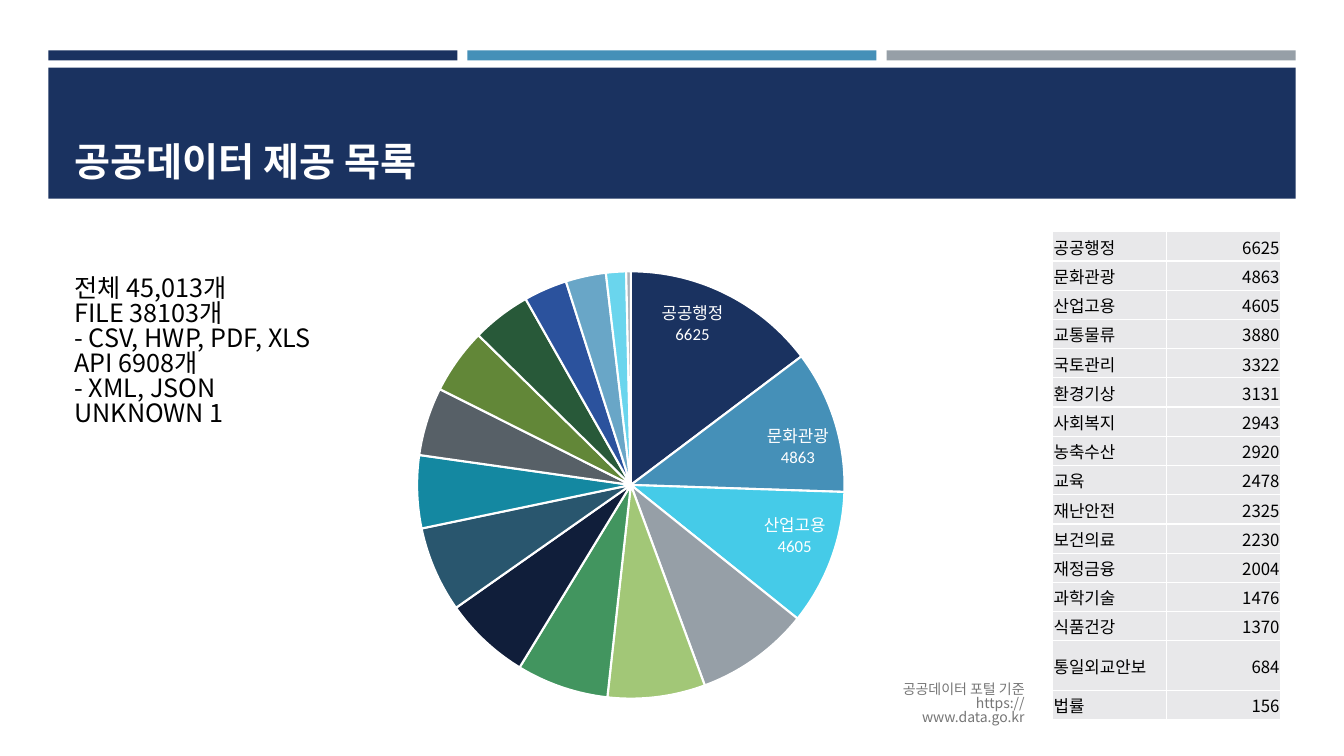
import pptx
import pptx.chart.data
import pptx.dml.color
import pptx.enum.chart
import pptx.enum.shapes
import pptx.enum.text
import pptx.util
from lxml import etree
from pptx.oxml.ns import qn

KOREAN, LATIN = "Noto Sans CJK KR", "Calibri"
NAVY, BLUE, GREY, WHITE, BLACK = "1A3260", "4590B8", "969FA7", "FFFFFF", "000000"
SLICES = [NAVY, BLUE, "45CBE8", GREY, "A2C777", "42955F", "101E3A", "29566E",
          "1488A1", "576067", "628738", "285939", "2B529D", "69A6C7", "6AD5ED", "ABB2B9"]
DATASETS = {
    "공공행정": 6625, "문화관광": 4863, "산업고용": 4605, "교통물류": 3880,
    "국토관리": 3322, "환경기상": 3131, "사회복지": 2943, "농축수산": 2920,
    "교육": 2478, "재난안전": 2325, "보건의료": 2230, "재정금융": 2004,
    "과학기술": 1476, "식품건강": 1370, "통일외교안보": 684, "법률": 156,
}
TOTALS = ["전체 45,013개", "FILE 38103개", "- CSV, HWP, PDF, XLS",
          "API 6908개", "- XML, JSON", "UNKNOWN 1"]
SOURCE = ["공공데이터 포털 기준", "https://www.data.go.kr"]
ALIGN = pptx.enum.text.PP_ALIGN
ANCHOR = pptx.enum.text.MSO_ANCHOR


def rgb(value):
    return pptx.dml.color.RGBColor.from_string(value)


def inches(*lengths):
    return [pptx.util.Inches(length) for length in lengths]


def set_all(target, values):
    for name, value in values.items():
        setattr(target, name, value)


def style_font(font, size, color, bold=False, face=KOREAN):
    set_all(font, {"size": pptx.util.Pt(size), "name": face, "bold": bold})
    font.color.rgb = rgb(color)


def write(frame, lines, size, color, align=ALIGN.LEFT, bold=False, spacing=None):
    for index, line in enumerate(lines):
        paragraph = frame.paragraphs[0] if index == 0 else frame.add_paragraph()
        set_all(paragraph, {"alignment": align, "line_spacing": spacing})
        run = paragraph.add_run()
        run.text = line
        style_font(run.font, size, color, bold)
        etree.SubElement(run.font._element, qn("a:ea"), typeface=KOREAN)


def add_text(slide, box, lines, size, color, anchor=ANCHOR.TOP, **style):
    frame = slide.shapes.add_textbox(*inches(*box)).text_frame
    set_all(frame, {"word_wrap": True, "vertical_anchor": anchor})
    write(frame, lines, size, color, **style)


def add_block(slide, box, color):
    block = slide.shapes.add_shape(pptx.enum.shapes.MSO_SHAPE.RECTANGLE, *inches(*box))
    block.shadow.inherit = False
    block.fill.solid()
    block.fill.fore_color.rgb = rgb(color)
    block.line.fill.background()


# Three accent bars above the title band
def add_header(slide, box, title):
    left, top, width, height = box
    gap, bar_height, band_top = 0.1, 0.1, 0.17
    bar_width = (width - 2 * gap) / 3
    for column, color in enumerate([NAVY, BLUE, GREY]):
        add_block(slide, (left + column * (bar_width + gap), top, bar_width, bar_height), color)
    add_block(slide, (left, top + band_top, width, height - band_top), NAVY)
    add_text(slide, (left + 0.16, top + 0.27, width - 0.31, height - 0.36), [title],
             28, WHITE, ANCHOR.BOTTOM, bold=True)


# Pie of data sets by field, with the largest slices labelled
def add_pie(slide, box, labelled=3):
    data = pptx.chart.data.CategoryChartData()
    data.categories = list(DATASETS)
    data.add_series("Series 1", list(DATASETS.values()))
    chart = slide.shapes.add_chart(
        pptx.enum.chart.XL_CHART_TYPE.PIE, *inches(*box), data).chart
    set_all(chart, {"has_legend": False, "has_title": False})
    style_font(chart.font, 10, BLACK, face=LATIN)
    chart.plots[0].vary_by_categories = True
    series = chart.plots[0].series[0]
    series.data_labels.show_value = False
    for index, color in enumerate(SLICES):
        point = series.points[index]
        point.format.fill.solid()
        point.format.fill.fore_color.rgb = rgb(color)
        point.format.line.color.rgb = rgb(WHITE)
        point.format.line.width = pptx.util.Pt(1.5)
        if index < labelled:
            label = point.data_label
            style_font(label.font, 12, WHITE, face=LATIN)
            label.position = pptx.enum.chart.XL_LABEL_POSITION.INSIDE_END
            node = label._get_or_add_dLbl()
            for flag in ("c:showVal", "c:showCatName"):
                node.find(qn(flag)).set("val", "1")
            etree.SubElement(node, qn("c:separator")).text = "\n"
    # Plot area as shares of the chart
    plot_area = chart._chartSpace.chart.plotArea
    layout = plot_area.find(qn("c:layout"))
    if layout is None:
        layout = etree.Element(qn("c:layout"))
        plot_area.insert(0, layout)
    manual = etree.SubElement(layout, qn("c:manualLayout"))
    for tag, value in {"layoutTarget": "inner", "xMode": "edge", "yMode": "edge",
                       "x": "0.2", "y": "0.11", "w": "0.53", "h": "0.86"}.items():
        etree.SubElement(manual, qn("c:" + tag), val=value)


def add_borders(cell, color):
    properties = cell._tc.get_or_add_tcPr()
    for position, side in enumerate(("lnL", "lnR", "lnT", "lnB")):
        line = etree.Element(qn("a:" + side), w=str(pptx.util.Pt(1)))
        fill = etree.SubElement(line, qn("a:solidFill"))
        etree.SubElement(fill, qn("a:srgbClr"), val=color)
        properties.insert(position, line)


# Table of fields and counts
def add_counts(slide, box, row_height=0.29, tall_height=0.49, tall="통일외교안보"):
    table = slide.shapes.add_table(len(DATASETS), 2, *inches(*box)).table
    set_all(table, {"first_row": False, "horz_banding": False})
    for column in table.columns:
        column.width = pptx.util.Inches(box[2] / 2)
    margins = dict(zip(("margin_left", "margin_top", "margin_right", "margin_bottom"),
                       inches(0.01, 0.01, 0.01, 0)))
    for row, (field, count) in enumerate(DATASETS.items()):
        height = tall_height if field == tall else row_height
        table.rows[row].height = pptx.util.Inches(height)
        for column, (text, align) in enumerate([(field, ALIGN.LEFT), (str(count), ALIGN.RIGHT)]):
            cell = table.cell(row, column)
            set_all(cell, {**margins, "vertical_anchor": ANCHOR.MIDDLE})
            cell.fill.solid()
            cell.fill.fore_color.rgb = rgb("E8E8EA")
            add_borders(cell, WHITE)
            write(cell.text_frame, [text], 12, BLACK, align)


def main():
    deck = pptx.Presentation()
    set_all(deck, dict(zip(("slide_width", "slide_height"), inches(13.33, 7.5))))
    slide = deck.slides.add_slide(deck.slide_layouts[6])
    add_header(slide, (0.48, 0.5, 12.37, 1.47), "공공데이터 제공 목록")
    add_text(slide, (8.62, 6.73, 1.64, 0.44), SOURCE, 10, "767676",
             align=ALIGN.RIGHT, spacing=0.83)
    add_text(slide, (0.64, 2.7, 2.62, 1.92), TOTALS, 18, BLACK, spacing=0.83)
    add_pie(slide, (2.5, 2.15, 8.08, 4.93))
    add_counts(slide, (10.44, 2.3, 2.26, 4.83))
    deck.save("out.pptx")


if __name__ == "__main__":
    main()
